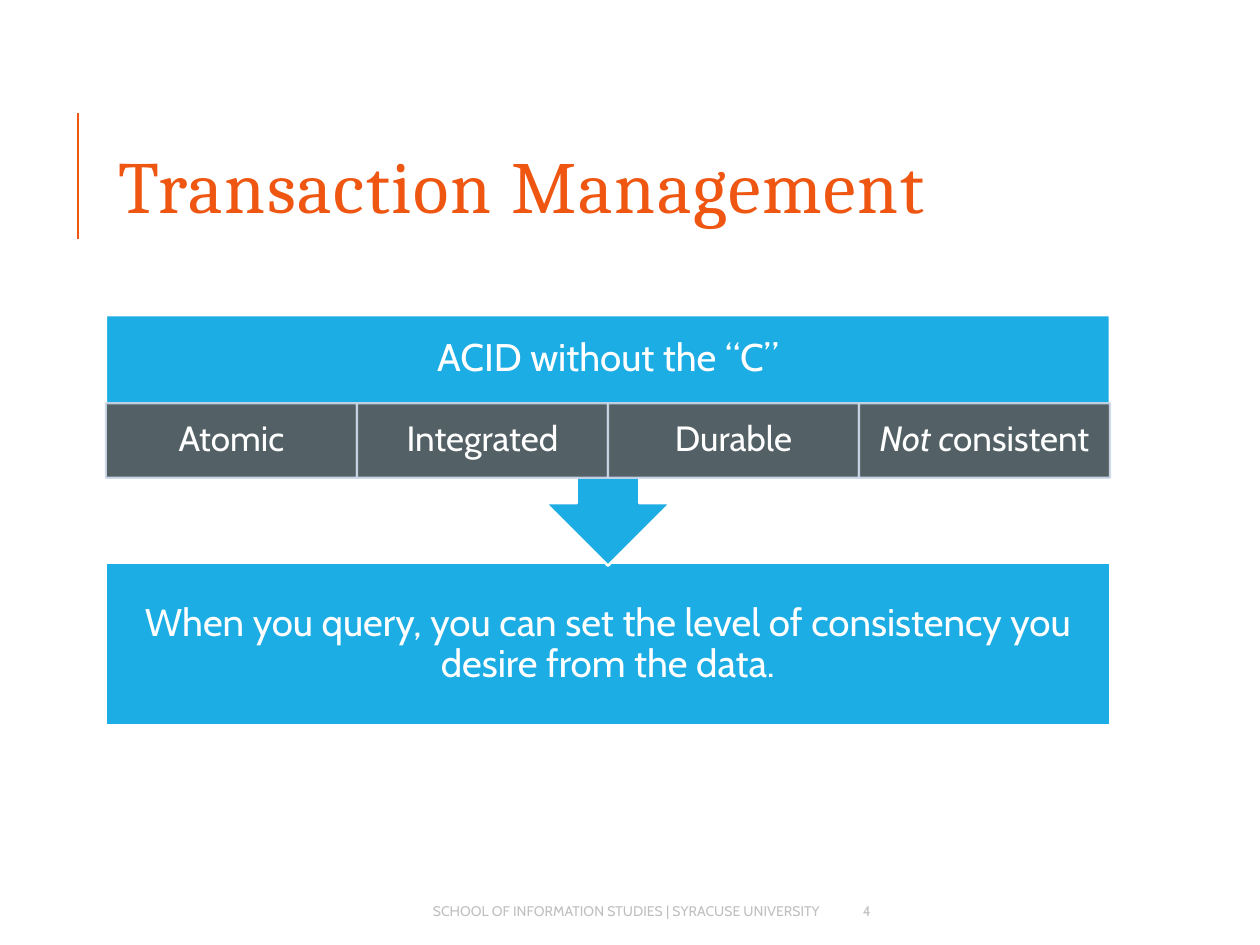
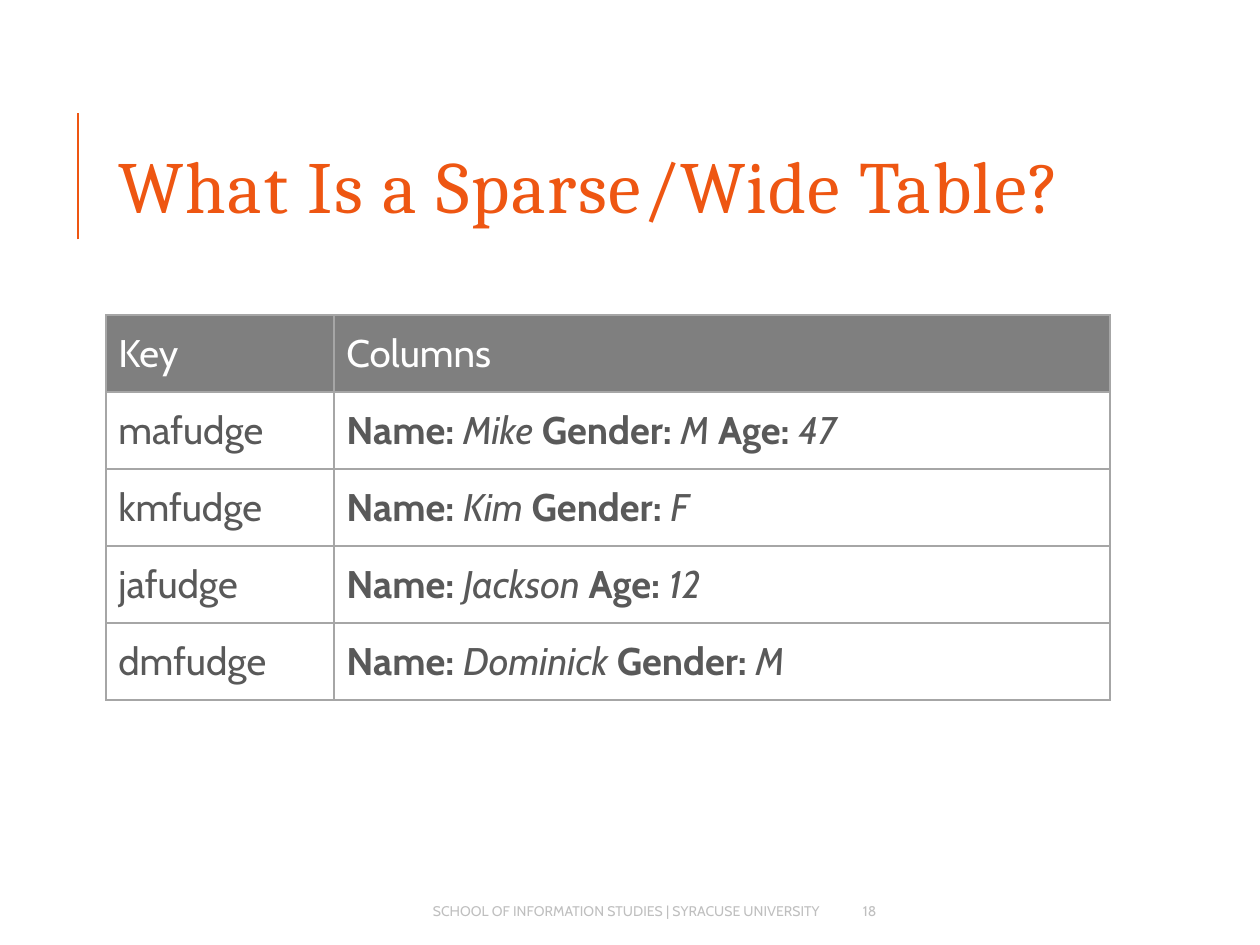
from dataclasses import dataclass

from lxml.etree import SubElement
from pptx import Presentation
from pptx.dml.color import RGBColor
from pptx.enum.shapes import MSO_CONNECTOR, MSO_SHAPE
from pptx.enum.text import MSO_ANCHOR, MSO_AUTO_SIZE, PP_ALIGN
from pptx.oxml.ns import qn
from pptx.util import Pt

ACID_TITLE = "Transaction Management"
ACID_PAGE = 4
ACID_HEADING = "ACID without the “C”"
ACID_PROPERTIES = [
    [("Atomic", "")],
    [("Integrated", "")],
    [("Durable", "")],
    [("Not c", "i"), ("onsistent", "")],
]
ACID_RESULT = "When you query, you can set the level of consistency you desire from the data."

WIDE_TITLE = "What Is a Sparse/Wide Table?"
WIDE_PAGE = 18
WIDE_HEADER = ["Key", "Columns"]
WIDE_RECORDS = {
    "mafudge": {"Name": "Mike", "Gender": "M", "Age": "47"},
    "kmfudge": {"Name": "Kim", "Gender": "F"},
    "jafudge": {"Name": "Jackson", "Age": "12"},
    "dmfudge": {"Name": "Dominick", "Gender": "M"},
}

FOOTER = "SCHOOL OF INFORMATION STUDIES | SYRACUSE UNIVERSITY"


@dataclass(frozen=True)
class Theme:
    title_font: str = "Cambria"
    body_font: str = "Cabin"
    orange: str = "EE5612"
    blue: str = "1CADE4"
    white: str = "FFFFFF"
    text: str = "595959"
    header: str = "7F7F7F"
    grid: str = "A6A6A6"
    pale_edge: str = "CDD9EA"
    footer: str = "BFBFBF"
    title_size: float = 42
    body_size: float = 22
    property_size: float = 20
    footer_size: float = 8


THEME = Theme()
LEFT, TOP, WIDTH = 60.5, 180, 573.8


def rgb(color):
    return RGBColor.from_string(color)


def points(*lengths):
    return [Pt(length) for length in lengths]


def write(frame, runs, size, color, font=THEME.body_font, align=PP_ALIGN.LEFT,
          spacing=None, insets=(7.2, 3.6)):
    frame.word_wrap = True
    frame.auto_size = MSO_AUTO_SIZE.NONE
    frame.vertical_anchor = MSO_ANCHOR.MIDDLE
    frame.margin_left = frame.margin_right = Pt(insets[0])
    frame.margin_top = frame.margin_bottom = Pt(insets[1])
    write_runs(frame.paragraphs[0], runs, size, color, font, align, spacing)


def write_runs(paragraph, runs, size, color, font=THEME.body_font,
               align=PP_ALIGN.LEFT, spacing=None):
    paragraph.alignment = align
    paragraph.line_spacing = spacing
    for text, style in runs:
        run = paragraph.add_run()
        run.text = text
        run.font.name = font
        run.font.size = Pt(size)
        run.font.color.rgb = rgb(color)
        run.font.bold = "b" in style
        run.font.italic = "i" in style


def add_label(slide, box, text, size, color, **options):
    label = slide.shapes.add_textbox(*points(*box))
    write(label.text_frame, [(text, "")], size, color, **options)


def add_block(slide, preset, box, fill, edge, edge_width, opacity=100):
    block = slide.shapes.add_shape(preset, *points(*box))
    block.shadow.inherit = False
    block.fill.solid()
    block.fill.fore_color.rgb = rgb(fill)
    block.line.color.rgb = rgb(edge)
    block.line.width = Pt(edge_width)
    if opacity < 100:
        for color in block._element.spPr.iter(qn("a:srgbClr")):
            SubElement(color, qn("a:alpha"), val=str(opacity * 1000))
    return block


def add_slide(deck, title, page):
    slide = deck.slides.add_slide(deck.slide_layouts[5])
    rule = slide.shapes.add_connector(MSO_CONNECTOR.STRAIGHT, *points(44.6, 136.8, 44.6, 64.8))
    rule.line.color.rgb = rgb(THEME.orange)
    rule.line.width = Pt(1.5)
    SubElement(rule._element.spPr, qn("a:effectLst"))

    heading = slide.shapes.title
    heading.left, heading.top, heading.width, heading.height = points(LEFT, 46, WIDTH, 118)
    write(heading.text_frame, [(title, "")], THEME.title_size, THEME.orange, THEME.title_font)
    for run in heading.text_frame.paragraphs[0].runs:
        run._r.get_or_add_rPr().set("spc", "100")

    add_label(slide, (136, 509.8, 340, 21.6), FOOTER, THEME.footer_size, THEME.footer,
              align=PP_ALIGN.RIGHT)
    add_label(slide, (486, 509.8, 65.5, 21.6), str(page), THEME.footer_size, THEME.footer)
    return slide


def build_acid_slide(deck):
    slide = add_slide(deck, ACID_TITLE, ACID_PAGE)
    centred = {"align": PP_ALIGN.CENTER, "spacing": 0.9}
    result = add_block(slide, MSO_SHAPE.RECTANGLE, (LEFT, 321.8, WIDTH, 92.9),
                       THEME.blue, THEME.white, 1.5)
    write(result.text_frame, [(ACID_RESULT, "")], THEME.body_size, THEME.white,
          insets=(12.3, 12.3), **centred)

    callout = add_block(slide, MSO_SHAPE.UP_ARROW_CALLOUT, (LEFT, TOP, WIDTH, 143.3),
                        THEME.blue, THEME.white, 1.5)
    callout.rotation = 180
    add_label(slide, (LEFT, TOP, WIDTH, 50.3), ACID_HEADING, THEME.body_size, THEME.white,
              insets=(12.3, 12.3), **centred)

    width = WIDTH / len(ACID_PROPERTIES)
    for index, runs in enumerate(ACID_PROPERTIES):
        tile = add_block(slide, MSO_SHAPE.RECTANGLE, (LEFT + index * width, 230.4, width, 42.6),
                         THEME.text, THEME.pale_edge, 1.25, opacity=90)
        write(tile.text_frame, runs, THEME.property_size, THEME.white,
              insets=(11.4, 2), **centred)


def column_runs(record):
    runs = []
    for position, (column, value) in enumerate(record.items(), start=1):
        gap = " " if position < len(record) else ""
        runs += [(f"{column}: ", "b"), (value + gap, "i")]
    return runs


def format_cell(cell, runs, fill, color):
    cell.vertical_anchor = MSO_ANCHOR.MIDDLE
    write_runs(cell.text_frame.paragraphs[0], runs, THEME.body_size, color)
    properties = cell._tc.get_or_add_tcPr()
    for side in ("lnL", "lnR", "lnT", "lnB"):
        border = SubElement(properties, qn(f"a:{side}"), w=str(Pt(1)))
        SubElement(SubElement(border, qn("a:solidFill")), qn("a:srgbClr"), val=THEME.grid)
    cell.fill.solid()
    cell.fill.fore_color.rgb = rgb(fill)


def build_wide_slide(deck):
    slide = add_slide(deck, WIDE_TITLE, WIDE_PAGE)
    rows = [[[(name, "")] for name in WIDE_HEADER]]
    rows += [[[(key, "")], column_runs(record)] for key, record in WIDE_RECORDS.items()]
    key_width, row_height = 130.3, 44
    box = points(LEFT, TOP, WIDTH, row_height * len(rows))
    records = slide.shapes.add_table(len(rows), len(WIDE_HEADER), *box).table
    records.first_row = records.horz_banding = False
    records.columns[0].width, records.columns[1].width = points(key_width, WIDTH - key_width)
    for row_index, row in enumerate(rows):
        records.rows[row_index].height = Pt(row_height)
        fill, color = (THEME.white, THEME.text) if row_index else (THEME.header, THEME.white)
        for column_index, runs in enumerate(row):
            format_cell(records.cell(row_index, column_index), runs, fill, color)


def main():
    deck = Presentation()
    deck.slide_width, deck.slide_height = points(720, 540)
    build_acid_slide(deck)
    build_wide_slide(deck)
    deck.save("out.pptx")


if __name__ == "__main__":
    main()
